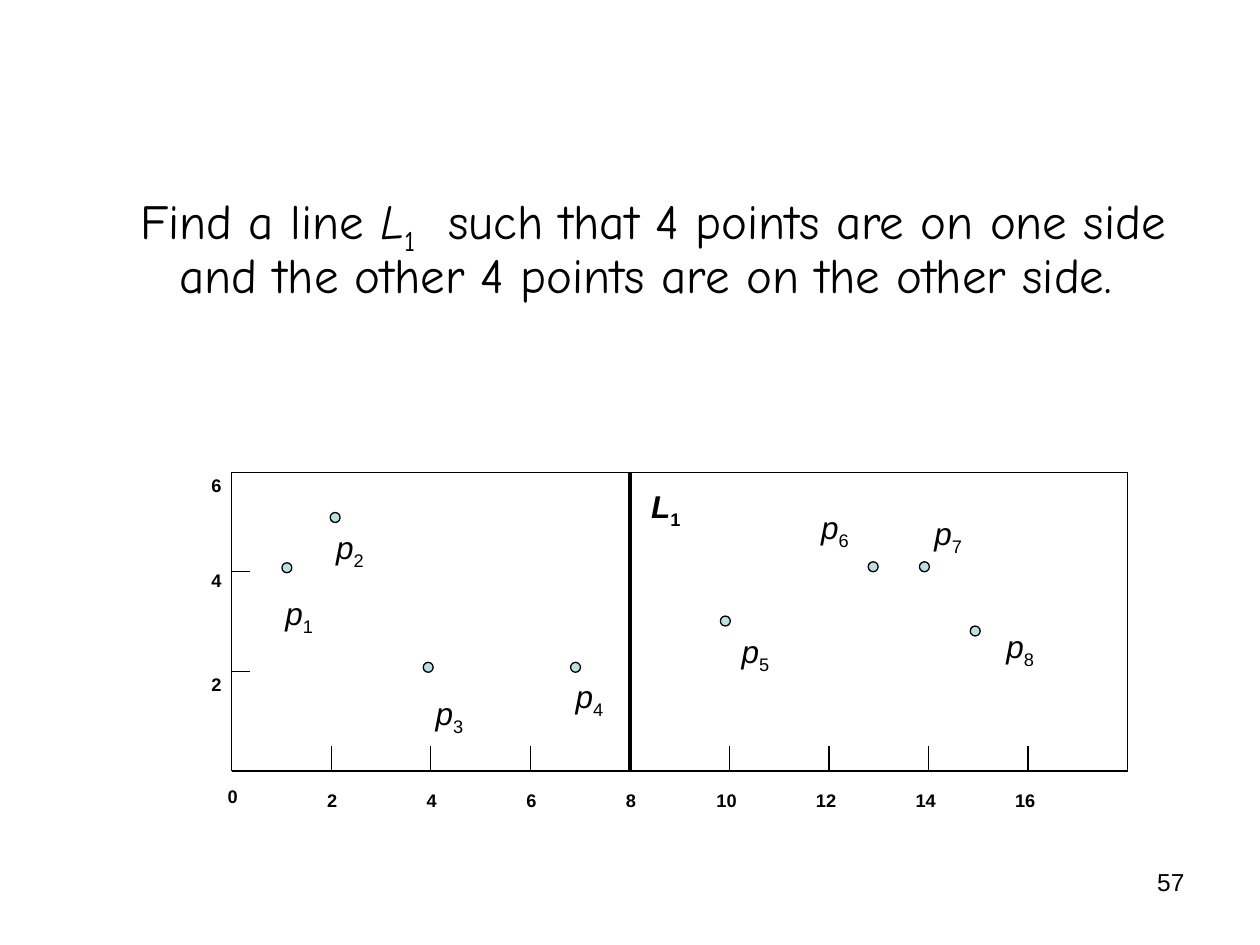
from dataclasses import dataclass

from pptx import Presentation
from pptx.dml.color import RGBColor
from pptx.enum import shapes as kinds, text as t
from pptx.oxml.ns import qn
from pptx.util import Cm, Pt


@dataclass(frozen=True)
class Theme:
    ink: RGBColor = RGBColor(0x00, 0x00, 0x00)
    point: RGBColor = RGBColor(0xBB, 0xE0, 0xE3)
    body_font: str = "Comic Neue"
    label_font: str = "Arial"
    body_size: int = 28
    label_size: int = 18
    number_size: int = 14
    thin: float = 0.75
    thick: float = 2.25


theme = Theme()

prs = Presentation()
prs.slide_width, prs.slide_height = Cm(25.4), Cm(19.05)
slide = prs.slides.add_slide(prs.slide_layouts[1])
title = slide.shapes.title
title._element.getparent().remove(title._element)


def write(runs, box=None, frame=None, font=theme.label_font, size=theme.label_size,
          bold=False, align=t.PP_ALIGN.LEFT):
    """Write (text, style) runs into a frame or a new box; style is "", "italic" or "sub"."""
    if frame is None:
        frame = slide.shapes.add_textbox(*map(Cm, box)).text_frame
    frame.word_wrap = True
    frame.auto_size = t.MSO_AUTO_SIZE.NONE
    frame.vertical_anchor = t.MSO_ANCHOR.TOP
    paragraph = frame.paragraphs[0]
    paragraph.alignment = align
    for content, style in runs:
        run = paragraph.add_run()
        run.text = content
        run.font.name, run.font.size = font, Pt(size)
        run.font.bold, run.font.italic = bold, style == "italic"
        run.font.color.rgb = theme.ink
        if style == "sub":
            run._r.get_or_add_rPr().set("baseline", "-25000")
    return paragraph


def draw_line(x1, y1, x2, y2, weight=theme.thin):
    line = slide.shapes.add_connector(kinds.MSO_CONNECTOR.STRAIGHT, Cm(x1), Cm(y1), Cm(x2), Cm(y2))
    line.line.color.rgb = theme.ink
    line.line.width = Pt(weight)
    properties = line._element.spPr
    properties.append(properties.makeelement(qn("a:effectLst"), {}))


# Slide number and task
write([("57", "")], box=(18.21, 17.35, 5.92, 1.32), size=theme.number_size, align=t.PP_ALIGN.RIGHT)

body = slide.placeholders[1]
body.left, body.top, body.width, body.height = Cm(1.3), Cm(3.73), Cm(22.86), Cm(3.78)
task = write([("Find a line ", ""), ("L", "italic"), ("1", "sub"),
              ("  such that 4 points are on one side and the other 4 points are on the other side.", "")],
             frame=body.text_frame, font=theme.body_font, size=theme.body_size)
task.level = 1
task.line_spacing = 0.9
task.space_before = Pt(0)
indents = task._p.get_or_add_pPr()
indents.set("marL", str(Cm(2.06)))
indents.set("indent", str(Cm(-0.79)))
indents.append(indents.makeelement(qn("a:buNone"), {}))

# Plot frame: 18 by 6 units
left, top, width, height = 4.67, 9.52, 18.06, 6.02
right, bottom = left + width, top + height
unit = width / 18
for edge in ((left, top, right, top), (left, top, left, bottom),
             (left, bottom, right, bottom), (right, top, right, bottom)):
    draw_line(*edge)

# Axes
for value in range(0, 17, 2):
    x = left + value * unit
    if value:
        draw_line(x, bottom - 0.51, x, bottom)
    shift = 0.33 if value < 10 else 0.51
    label_top = 15.37 if value else 15.27
    write([(str(value), "sub")], box=(x - shift, label_top, 1.1, 0.76), bold=True)

for value, rise in ((2, 0.51), (4, 0.61), (6, 0.51)):
    y = bottom - value * unit
    if value < 6:
        draw_line(left, y, left + 0.36, y)
    write([(str(value), "sub")], box=(4.01, y - rise, 0.84, 0.76), bold=True)

# Points: position in plot units, then label offset in cm
points = [
    (1.11, 4.08, -0.28, 0.41),
    (2.08, 5.09, -0.23, 0.08),
    (3.95, 2.08, -0.1, 0.41),
    (6.91, 2.08, -0.25, 0.08),
    (9.92, 3.01, 0.08, 0.1),
    (12.89, 4.1, -1.3, -1.3),
    (13.92, 4.1, -0.05, -1.19),
    (14.94, 2.81, 0.38, -0.2),
]
diameter = 0.2
for index, (px, py, dx, dy) in enumerate(points, start=1):
    x, y = left + px * unit, bottom - py * unit
    dot = slide.shapes.add_shape(kinds.MSO_SHAPE.OVAL, Cm(x - diameter / 2), Cm(y - diameter / 2),
                                 Cm(diameter), Cm(diameter))
    dot.shadow.inherit = False
    dot.fill.solid()
    dot.fill.fore_color.rgb = theme.point
    dot.line.color.rgb = theme.ink
    dot.line.width = Pt(theme.thin)
    write([("p", "italic"), (str(index), "sub")], box=(x + dx, y + dy, 1.4, 1.02))

# Dividing line
divider = left + 8 * unit
draw_line(divider, top, divider, bottom, theme.thick)
write([("L", "italic"), ("1", "sub")], box=(divider + 0.18, top + 0.18, 2.01, 1.02), bold=True)

prs.save("out.pptx")
